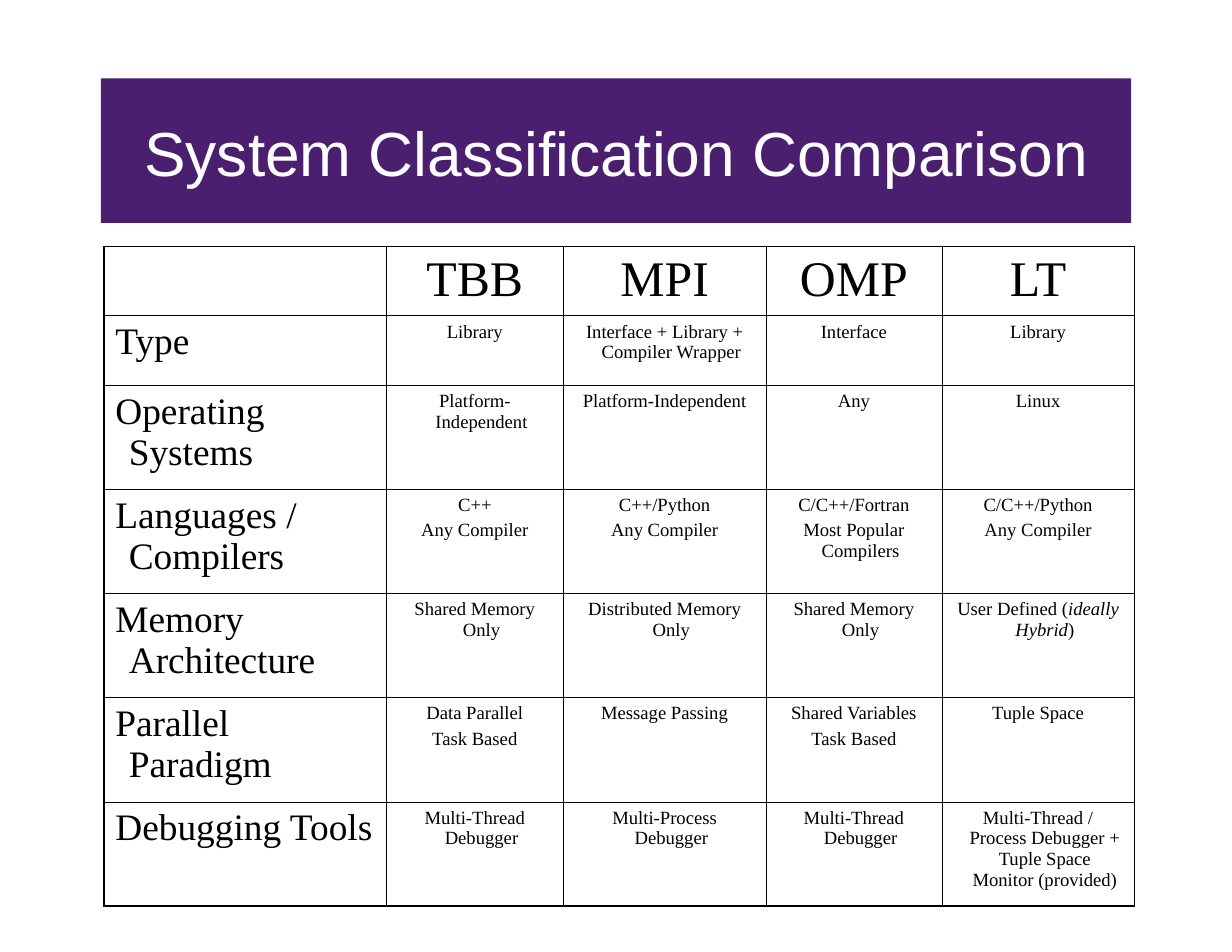
from lxml.etree import SubElement
from pptx import Presentation
from pptx.dml.color import RGBColor
from pptx.enum.text import MSO_ANCHOR, PP_ALIGN
from pptx.oxml.ns import qn
from pptx.util import Inches, Pt

TITLE = "System Classification Comparison"
SYSTEMS = ["", "TBB", "MPI", "OMP", "LT"]
# A line break starts a new paragraph; text between asterisks is italic.
ROWS = [
    ["Type", "Library", "Interface + Library + Compiler Wrapper", "Interface", "Library"],
    ["Operating Systems", "Platform-Independent", "Platform-Independent", "Any", "Linux"],
    ["Languages / Compilers", "C++\nAny Compiler", "C++/Python\nAny Compiler",
     "C/C++/Fortran\nMost Popular Compilers", "C/C++/Python\nAny Compiler"],
    ["Memory Architecture", "Shared Memory Only", "Distributed Memory Only",
     "Shared Memory Only", "User Defined (*ideally Hybrid*)"],
    ["Parallel Paradigm", "Data Parallel\nTask Based", "Message Passing",
     "Shared Variables\nTask Based", "Tuple Space"],
    ["Debugging Tools", "Multi-Thread Debugger", "Multi-Process Debugger",
     "Multi-Thread Debugger",
     "Multi-Thread / Process Debugger + Tuple Space Monitor (provided)"],
]
GRID = [SYSTEMS] + ROWS
COLUMN_WIDTHS = [2.52, 1.58, 1.81, 1.57, 1.72]
ROW_HEIGHTS = [0.62, 0.62] + [0.93] * 5
PURPLE, WHITE, BLACK = "4B1F6F", "FFFFFF", "000000"
OUTER_LINE, INNER_LINE = 1.08, 0.45


def style_font(font, name, size, color):
    font.name = name
    font.size = Pt(size)
    font.color.rgb = RGBColor.from_string(color)


def add_title(slide):
    title = slide.shapes.title
    title.left, title.top = Inches(0.9), Inches(0.7)
    title.width, title.height = Inches(9.2), Inches(1.29)
    title.fill.solid()
    title.fill.fore_color.rgb = RGBColor.from_string(PURPLE)
    frame = title.text_frame
    frame.text = TITLE
    frame.word_wrap = True
    frame.vertical_anchor = MSO_ANCHOR.MIDDLE
    frame.margin_left = frame.margin_right = frame.margin_top = frame.margin_bottom = 0
    para = frame.paragraphs[0]
    para.alignment = PP_ALIGN.CENTER
    para.line_spacing = 1.04
    style_font(para.runs[0].font, "Arial", 40, WHITE)


def set_borders(cell, row, column):
    """Draw a thick line on the table's outer edges and a thin one elsewhere."""
    outer_edges = {
        "a:lnL": column == 0,
        "a:lnR": column == len(SYSTEMS) - 1,
        "a:lnT": row == 0,
        "a:lnB": row == len(GRID) - 1,
    }
    properties = cell._tc.get_or_add_tcPr()
    for tag, is_outer in outer_edges.items():
        width = Pt(OUTER_LINE if is_outer else INNER_LINE)
        line = SubElement(properties, qn(tag), w=str(width))
        fill = SubElement(line, qn("a:solidFill"))
        SubElement(fill, qn("a:srgbClr"), val=BLACK)


def fill_cell(cell, text, size, alignment, space_before):
    cell.margin_left = cell.margin_right = Inches(0.1)
    cell.margin_top = cell.margin_bottom = Inches(0.05)
    cell.vertical_anchor = MSO_ANCHOR.TOP
    frame = cell.text_frame
    for index, line in enumerate(text.split("\n")):
        para = frame.add_paragraph() if index else frame.paragraphs[0]
        para.alignment = alignment
        para.space_before = Pt(space_before if index else 0)
        properties = para._p.get_or_add_pPr()
        properties.set("marL", str(Inches(0.12)))
        properties.set("indent", str(Inches(-0.12)))
        for part, words in enumerate(line.split("*")):
            span = para.add_run()
            span.text = words
            span.font.italic = part % 2 == 1
            style_font(span.font, "Times New Roman", size, BLACK)


def add_comparison_table(slide):
    frame = slide.shapes.add_table(
        len(GRID), len(SYSTEMS), Inches(0.93), Inches(2.2),
        Inches(sum(COLUMN_WIDTHS)), Inches(sum(ROW_HEIGHTS)))
    table = frame.table
    table.first_row = table.horz_banding = False
    for column, width in zip(table.columns, COLUMN_WIDTHS):
        column.width = Inches(width)
    for row, height in zip(table.rows, ROW_HEIGHTS):
        row.height = Inches(height)
    for r, texts in enumerate(GRID):
        for c, text in enumerate(texts):
            cell = table.cell(r, c)
            set_borders(cell, r, c)
            cell.fill.background()
            if not text:
                continue
            if r == 0:
                fill_cell(cell, text, 32, PP_ALIGN.CENTER, 8)
            elif c == 0:
                fill_cell(cell, text, 24, PP_ALIGN.LEFT, 6)
            else:
                fill_cell(cell, text, 12, PP_ALIGN.CENTER, 3)


def main():
    deck = Presentation()
    deck.slide_width, deck.slide_height = Inches(11), Inches(8.5)
    slide = deck.slides.add_slide(deck.slide_layouts[5])
    add_title(slide)
    add_comparison_table(slide)
    deck.save("out.pptx")


if __name__ == "__main__":
    main()
